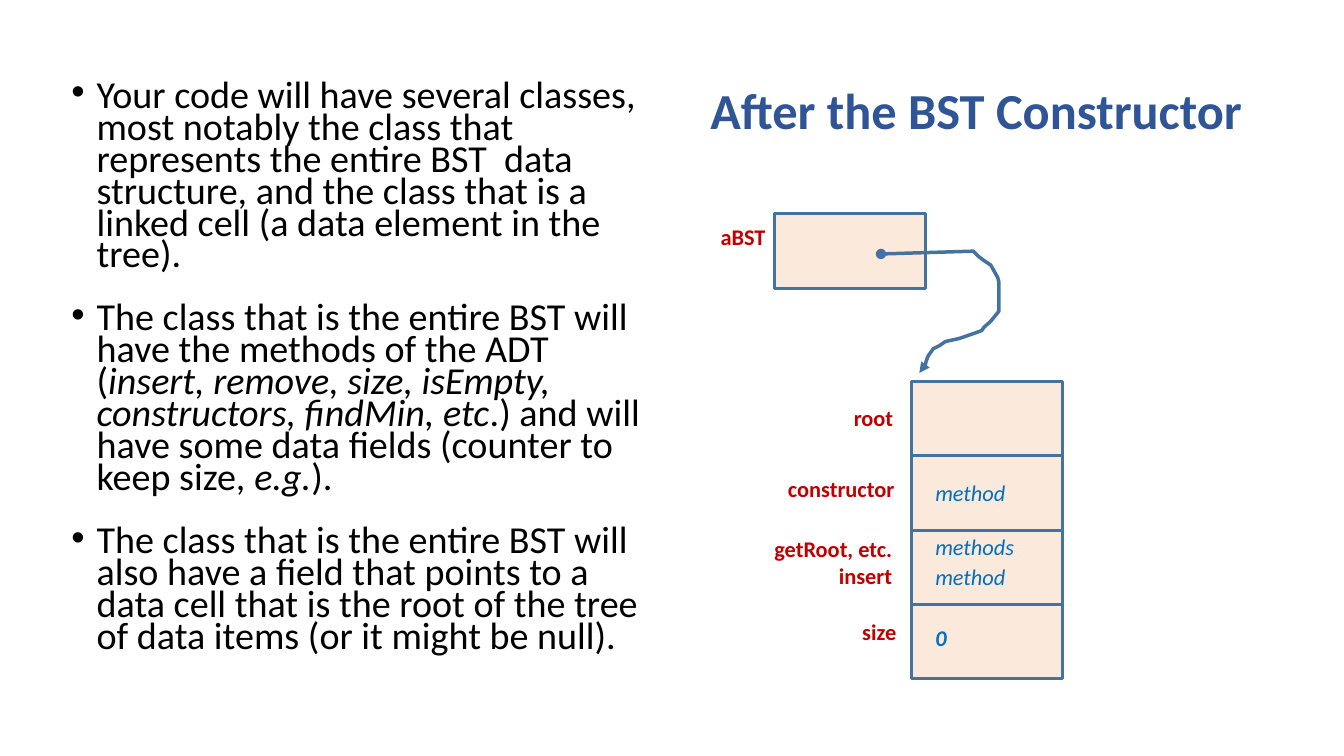
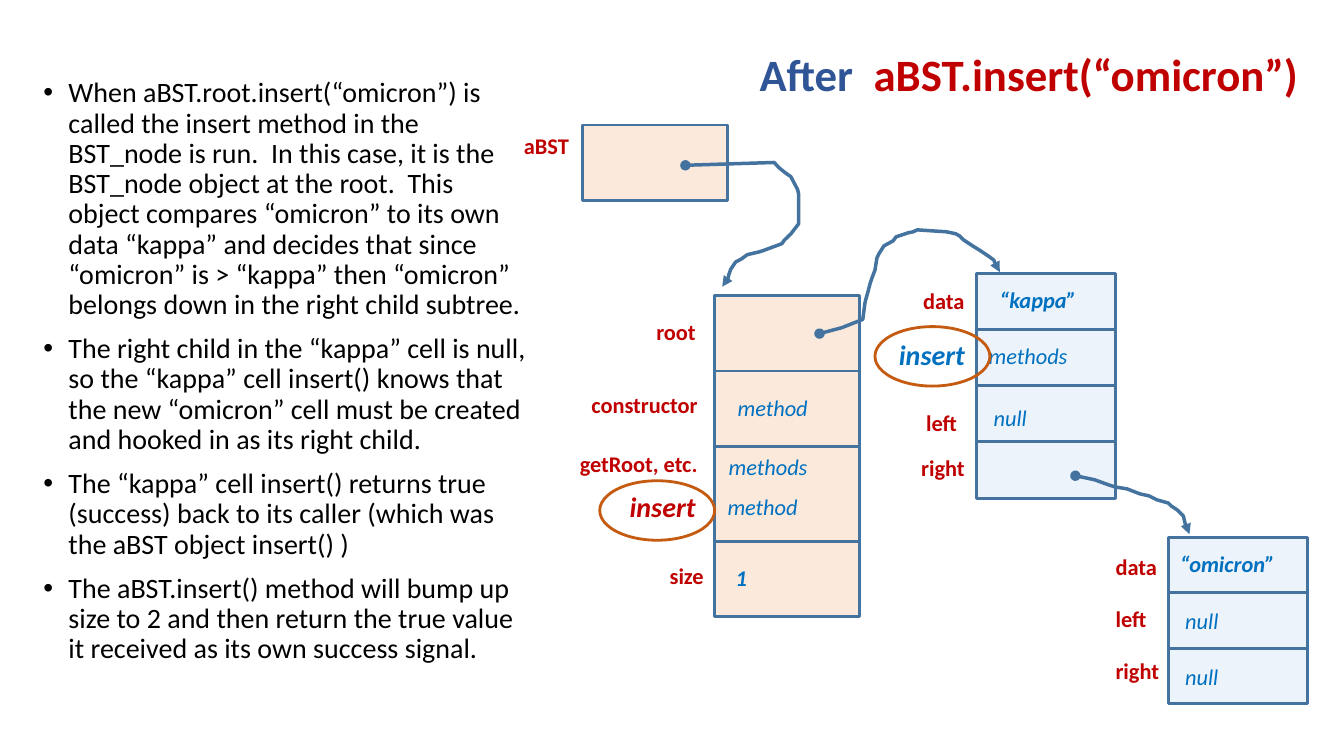
from lxml.etree import SubElement
from pptx import Presentation
from pptx.dml.color import RGBColor
from pptx.enum.shapes import MSO_SHAPE as Shape
from pptx.enum.text import MSO_ANCHOR as Anchor, PP_ALIGN as Align
from pptx.oxml.ns import qn
from pptx.util import Pt

# Shared look
FONT = "Calibri"
BLACK, NAVY, RED, BLUE = "000000", "2F5597", "C00000", "0070C0"
OUTLINE, RING, PEACH, SKY = "43739E", "C55A11", "F4B183", "BDD7EE"
STYLES = {
    "label": dict(size=16, color=RED, bold=True),
    "method": dict(size=16, color=BLUE, italic=True),
    "value": dict(size=16, color=BLUE, bold=True, italic=True),
    "red call": dict(size=20, color=RED, bold=True, italic=True),
    "blue call": dict(size=20, color=BLUE, bold=True, italic=True),
}

# Pointer from aBST to its object, as offsets from its start
ABST_LINK = [
    (0, 0), (66, -2), (70, 2), (74, 5), (78.5, 8), (83.5, 17), (84.2, 20),
    (84.2, 41), (78.5, 48), (73.5, 52.5), (72, 54.7), (70, 55.5), (64, 57.6),
    (57.6, 59.8), (55.4, 60.5), (46, 62.6), (41.8, 65.5), (37.4, 67.7),
    (33.8, 72.7), (32.4, 76.3), (31.7, 79.2), (29.5, 81.4), (27.4, 85)]
ROOT_LINK = [
    (585.4, 238.3), (601.3, 234.1), (616.3, 228.2), (617.8, 216.7),
    (618.5, 213.8), (619.9, 208.8), (621.4, 203), (622.8, 198.7), (625, 193),
    (626.4, 184.3), (627.8, 181.4), (631.4, 175.7), (637.9, 172.1),
    (640.1, 169.2), (648.7, 166.3), (652.3, 165.6), (655.2, 164.2),
    (676.1, 165.6), (682.6, 167), (685.4, 168.5), (688.3, 171.4),
    (694.8, 175.7), (700.6, 179.3), (707, 183.6), (709.9, 185.8),
    (712.1, 191.5), (714.2, 194.4)]
RIGHT_LINK = [
    (768.2, 339.8), (781.9, 342.7), (789.8, 345.6), (796.3, 347.8),
    (805, 349.2), (814.3, 352.8), (820.8, 354.2), (826.6, 357.1),
    (834.5, 359.3), (836.6, 361.4), (841, 364.3), (845.3, 368.6),
    (846.7, 374.4), (848.9, 376.6), (849.6, 379.4), (849.6, 381.6)]


def place_link(left, top, across=1, down=1):
    return [(left + x * across, top + y * down) for x, y in ABST_LINK]


# Content: spans are (text, overrides); stacks are (left, top, width, heights, fill);
# labels are (text, style, alignment, (left, top, width, height))
ITALIC = dict(italic=True)
L, R = Align.LEFT, Align.RIGHT
SLIDES = [
    dict(
        title=[("After the BST Constructor", {})],
        title_at=(463.7, 28.8, 430.6, 104.4), title_size=36,
        body=[
            [("Your code will have several classes, most notably the class that "
              "represents the entire BST  data structure, and the class that is a "
              "linked cell (a data element in the tree).", {})],
            [("The class that is the entire BST will have the methods of the ADT (", {}),
             ("insert, remove, size, isEmpty, constructors, findMin, etc", ITALIC),
             (".) and will have some data fields (counter to keep size, ", {}),
             ("e.g.", ITALIC), (").", {})],
            [("The class that is the entire BST will also have a field that points "
              "to a data cell that is the root of the tree of data items (or it "
              "might be null).", {})],
        ],
        body_at=(43.9, 55.4, 431.3, 429.1), body_size=27.2, spacing=0.7, after=12,
        stacks=[(553, 152.6, 108, [53.3], PEACH),
                (650.9, 272.7, 108, [53] * 4, PEACH)],
        links=[place_link(629.3, 181.4)],
        rings=[],
        labels=[
            ("aBST", "label", L, (507.6, 155.5, 51.8, 38.2)),
            ("root", "label", R, (526.3, 285.1, 118.8, 38.2)),
            ("constructor", "label", R, (546.5, 336.2, 99.4, 38.2)),
            ("getRoot, etc. insert", "label", R, (524.9, 378.7, 119.5, 50.4)),
            ("size", "label", R, (555.1, 437.8, 92.2, 38.2)),
            ("method", "method", L, (661, 338.4, 81.4, 38.2)),
            ("methods", "method", L, (661, 377.3, 81.4, 30.2)),
            ("method", "method", L, (661, 398.9, 81.4, 30.2)),
            ("0", "value", L, (661, 442.1, 61.2, 38.2)),
        ],
    ),
    dict(
        title=[("After  ", {}), ("aBST.insert(“omicron”)", dict(color=RED))],
        title_at=(484.6, 18, 450, 73.4), title_size=32,
        body=[
            [("When aBST.root.insert(“omicron”) is called the insert method in the "
              "BST_node is run.  In this case, it is the BST_node object at the "
              "root.  This object compares “omicron” to its own data “kappa” and "
              "decides that since “omicron” is > “kappa” then “omicron” belongs "
              "down in the right child subtree.", {})],
            [("The right child in the “kappa” cell is null, so the “kappa” cell "
              "insert() knows that the new “omicron” cell must be created and "
              "hooked in as its right child.", {})],
            [("The “kappa” cell insert() returns true (success) back to its caller "
              "(which was the aBST object insert() )", {})],
            [("The aBST.insert() method will bump up size to 2 and then return the "
              "true value it received as its own success signal.", {})],
        ],
        body_at=(23.8, 52.6, 361.4, 475.9), body_size=20, spacing=0.9, after=0,
        stacks=[(416.2, 89.3, 103.7, [54], PEACH),
                (510.3, 211, 103.7, [54, 54, 67.6, 54], PEACH),
                (697.7, 195.1, 99.4, [40.2] * 4, SKY),
                (834.5, 383.8, 99.4, [39.6] * 3, SKY)],
        links=[place_link(489.6, 118.1, 0.96, 1.02), ROOT_LINK, RIGHT_LINK],
        rings=[(625, 233.3, 82.1, 42.5), (428.4, 343.4, 82.1, 42.5)],
        labels=[
            ("aBST", "label", L, (367.2, 90.7, 50.4, 38.9)),
            ("root", "label", R, (390.2, 223.9, 113.8, 38.9)),
            ("constructor", "label", R, (409.7, 275.8, 95.8, 38.9)),
            ("getRoot, etc.", "label", R, (390.2, 318.2, 115.2, 38.9)),
            ("insert", "red call", R, (388.8, 346.3, 115.2, 35.3)),
            ("size", "label", R, (420.5, 398.2, 89.3, 38.9)),
            ("method", "method", L, (519.8, 277.9, 78.5, 38.9)),
            ("methods", "method", L, (513.4, 320.4, 78.5, 23.8)),
            ("method", "method", L, (512.6, 348.5, 78.5, 38.9)),
            ("1", "value", L, (518.4, 399.6, 37.4, 30.2)),
            ("data", "label", L, (652.3, 201.6, 89.3, 28.8)),
            ("insert", "blue call", L, (635, 237.6, 67.7, 28.8)),
            ("left", "label", L, (654.5, 288.7, 89.3, 28.8)),
            ("right", "label", L, (650.9, 321.1, 89.3, 28.8)),
            ("“kappa”", "value", L, (707, 200.9, 84.2, 28.8)),
            ("methods", "method", L, (699.1, 241.2, 78.5, 23.8)),
            ("null", "method", L, (702.7, 285.1, 63.4, 21.6)),
            ("data", "label", L, (789.8, 391.7, 89.3, 28.8)),
            ("left", "label", L, (789.8, 428.4, 89.3, 28.8)),
            ("right", "label", L, (789.8, 465.8, 89.3, 28.8)),
            ("“omicron”", "value", L, (835.9, 389.5, 89.3, 28.8)),
            ("null", "method", L, (839.5, 429.8, 63.4, 21.6)),
            ("null", "method", L, (839.5, 470.2, 61.9, 28.8)),
        ],
    ),
]


def paint(target, color):
    target.rgb = RGBColor.from_string(color)


def style_font(font, size=None, color=None, bold=None, italic=None):
    if size:
        font.name, font.size = FONT, Pt(size)
    if color:
        font.fill.solid()
        paint(font.fill.fore_color, color)
    if bold is not None:
        font.bold = bold
    if italic is not None:
        font.italic = italic


def add_text(page, at, paras, style, align=L, anchor=Anchor.TOP):
    frame = page.shapes.add_textbox(*map(Pt, at)).text_frame
    frame.word_wrap, frame.vertical_anchor = True, anchor
    for index, spans in enumerate(paras):
        para = frame.paragraphs[0] if index == 0 else frame.add_paragraph()
        para.alignment = align
        style_font(para.font, **style)
        for text, override in spans:
            span = para.add_run()
            span.text = text
            style_font(span.font, **override)
    return frame


def add_bullets(page, item):
    frame = add_text(page, item["body_at"], item["body"],
                     dict(size=item["body_size"], color=BLACK))
    for para in frame.paragraphs:
        para.line_spacing = item["spacing"]
        para.space_before, para.space_after = Pt(10), Pt(item["after"])
        props = para._p.get_or_add_pPr()
        props.set("marL", str(Pt(18)))
        props.set("indent", str(-Pt(18)))
        # Bullet marks go before the default run properties
        defaults = props.find(qn("a:defRPr"))
        for tag, key, value in (("a:buFont", "typeface", "Arial"),
                                ("a:buChar", "char", "•")):
            mark = SubElement(props, qn(tag))
            mark.set(key, value)
            defaults.addprevious(mark)


def outline(shape, color, width):
    shape.shadow.inherit = False
    paint(shape.line.color, color)
    shape.line.width = Pt(width)


def add_stack(page, left, top, width, heights, color):
    for height in heights:
        cell = page.shapes.add_shape(Shape.RECTANGLE, *map(Pt, (left, top, width, height)))
        outline(cell, OUTLINE, 2)
        cell.fill.solid()
        paint(cell.fill.fore_color, color)
        tint = cell.fill._xPr.find(qn("a:solidFill"))[0]
        SubElement(tint, qn("a:alpha")).set("val", "28000")
        top += height


def add_link(page, points):
    start, *rest = [(Pt(x), Pt(y)) for x, y in points]
    builder = page.shapes.build_freeform(*start)
    builder.add_line_segments(rest, close=False)
    link = builder.convert_to_shape()
    outline(link, OUTLINE, 2.5)
    link.fill.background()
    stroke = link.line._get_or_add_ln()
    SubElement(stroke, qn("a:round"))
    for tag, kind in (("a:headEnd", "oval"), ("a:tailEnd", "triangle")):
        SubElement(stroke, qn(tag)).set("type", kind)


def add_ring(page, at):
    ring = page.shapes.add_shape(Shape.OVAL, *map(Pt, at))
    outline(ring, RING, 2)
    ring.fill.background()


# Build the deck
deck = Presentation()
deck.slide_width, deck.slide_height = Pt(960), Pt(540)
for item in SLIDES:
    page = deck.slides.add_slide(deck.slide_layouts[6])
    heading = add_text(page, item["title_at"], [item["title"]],
                       dict(size=item["title_size"], color=NAVY, bold=True),
                       R, Anchor.MIDDLE)
    heading.paragraphs[0].line_spacing = 0.9
    add_bullets(page, item)
    for stack in item["stacks"]:
        add_stack(page, *stack)
    for points in item["links"]:
        add_link(page, points)
    for text, style, align, at in item["labels"]:
        add_text(page, at, [[(text, {})]], STYLES[style], align)
    for at in item["rings"]:
        add_ring(page, at)
deck.save("out.pptx")
